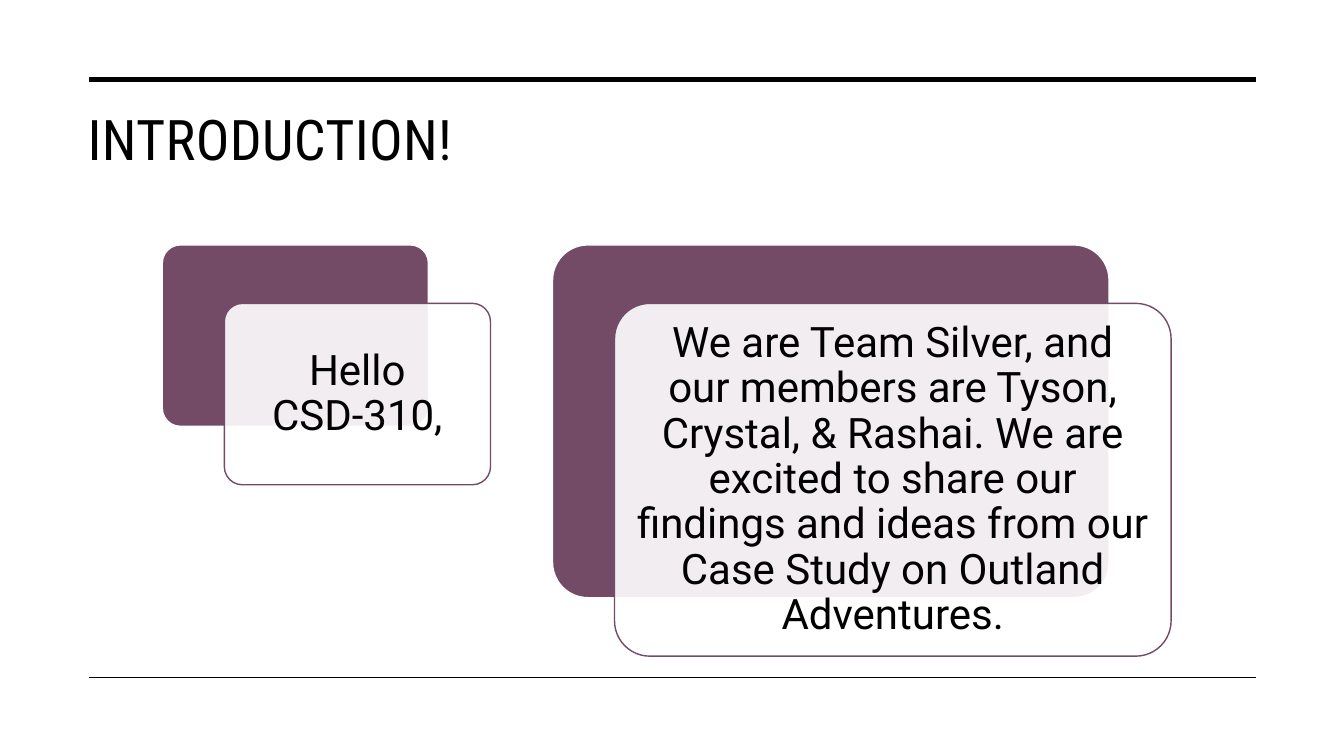
from dataclasses import dataclass

from lxml import etree
from pptx import Presentation
from pptx.dml.color import RGBColor
from pptx.enum.shapes import MSO_CONNECTOR, MSO_SHAPE
from pptx.enum.text import MSO_ANCHOR, PP_ALIGN
from pptx.oxml.ns import qn
from pptx.slide import Slide
from pptx.util import Inches, Pt

STRAIGHT = MSO_CONNECTOR.STRAIGHT
ROUNDED = MSO_SHAPE.ROUNDED_RECTANGLE
LEFT, CENTER = PP_ALIGN.LEFT, PP_ALIGN.CENTER
TOP, MIDDLE = MSO_ANCHOR.TOP, MSO_ANCHOR.MIDDLE


@dataclass(frozen=True)
class Theme:
    ink: RGBColor = RGBColor(0x00, 0x00, 0x00)
    plum: RGBColor = RGBColor(0x73, 0x4B, 0x67)
    white: RGBColor = RGBColor(0xFF, 0xFF, 0xFF)
    title_font: str = "Roboto Condensed"
    body_font: str = "Roboto"
    title_size: float = 40
    body_size: float = 30


@dataclass(frozen=True)
class Rule:
    top: float
    weight: float


@dataclass(frozen=True)
class Card:
    left: float
    width: float
    height: float
    padding: float
    text: str


THEME = Theme()
RULE_LEFT, RULE_RIGHT = 0.88, 12.46
CARD_TOP = 2.43
OFFSET_X, OFFSET_Y = 0.615, 0.58
RULES = [Rule(0.79, 3.5), Rule(6.72, 1)]
CARDS = [
    Card(1.61, 2.64, 1.8, 0.055, "Hello CSD-310,"),
    Card(5.48, 5.52, 3.5, 0.1,
         "We are Team Silver, and our members are Tyson, Crystal, & Rashai. "
         "We are excited to share our findings and ideas from our Case Study "
         "on Outland Adventures."),
]


def add_text(page: Slide, text: str, left: float, top: float, width: float,
             height: float, *, font: str, size: float, align=LEFT, anchor=TOP,
             inset_x: float = 0.1, inset_y: float = 0.05,
             line_spacing: float = 1.0, tracking: float = 0) -> None:
    box = page.shapes.add_textbox(Inches(left), Inches(top),
                                  Inches(width), Inches(height))
    frame = box.text_frame
    frame.word_wrap = True
    frame.vertical_anchor = anchor
    frame.margin_left = frame.margin_right = Inches(inset_x)
    frame.margin_top = frame.margin_bottom = Inches(inset_y)
    para = frame.paragraphs[0]
    para.alignment = align
    para.line_spacing = line_spacing
    span = para.add_run()
    span.text = text
    span.font.name = font
    span.font.size = Pt(size)
    span.font.color.rgb = THEME.ink
    if tracking:
        span.font._element.set("spc", str(round(tracking * 100)))


def add_rule(page: Slide, rule: Rule) -> None:
    line = page.shapes.add_connector(STRAIGHT, Inches(RULE_LEFT), Inches(rule.top),
                                     Inches(RULE_RIGHT), Inches(rule.top))
    line.line.color.rgb = THEME.ink
    line.line.width = Pt(rule.weight)
    etree.SubElement(line._element.spPr, qn("a:effectLst"))


def add_panel(page: Slide, left: float, top: float, width: float, height: float,
              *, fill: RGBColor, outline: RGBColor, opacity: int = 100) -> None:
    panel = page.shapes.add_shape(ROUNDED, Inches(left), Inches(top),
                                  Inches(width), Inches(height))
    panel.shadow.inherit = False
    panel.adjustments[0] = 0.1
    panel.fill.solid()
    panel.fill.fore_color.rgb = fill
    panel.line.color.rgb = outline
    panel.line.width = Pt(1)
    if opacity < 100:
        color = panel._element.spPr.find(qn("a:solidFill"))[0]
        etree.SubElement(color, qn("a:alpha")).set("val", str(opacity * 1000))


def add_card(page: Slide, card: Card) -> None:
    # Solid back panel, then a translucent front panel shifted down and right
    add_panel(page, card.left, CARD_TOP, card.width, card.height,
              fill=THEME.plum, outline=THEME.white)
    left, top = card.left + OFFSET_X, CARD_TOP + OFFSET_Y
    add_panel(page, left, top, card.width, card.height,
              fill=THEME.white, outline=THEME.plum, opacity=90)
    pad = card.padding
    add_text(page, card.text, left + pad, top + pad,
             card.width - 2 * pad, card.height - 2 * pad,
             font=THEME.body_font, size=THEME.body_size, align=CENTER,
             anchor=MIDDLE, inset_x=0.12, inset_y=0.12, line_spacing=0.9)


def main() -> None:
    deck = Presentation()
    deck.slide_width, deck.slide_height = Inches(13.33), Inches(7.5)
    page = deck.slides.add_slide(deck.slide_layouts[6])

    # Title
    add_text(page, "INTRODUCTION!", 0.77, 0.99, 11.69, 1.26,
             font=THEME.title_font, size=THEME.title_size, tracking=0.3)

    # Rules above and below the content
    for rule in RULES:
        add_rule(page, rule)

    # Greeting and team cards
    for card in CARDS:
        add_card(page, card)

    deck.save("out.pptx")


if __name__ == "__main__":
    main()
